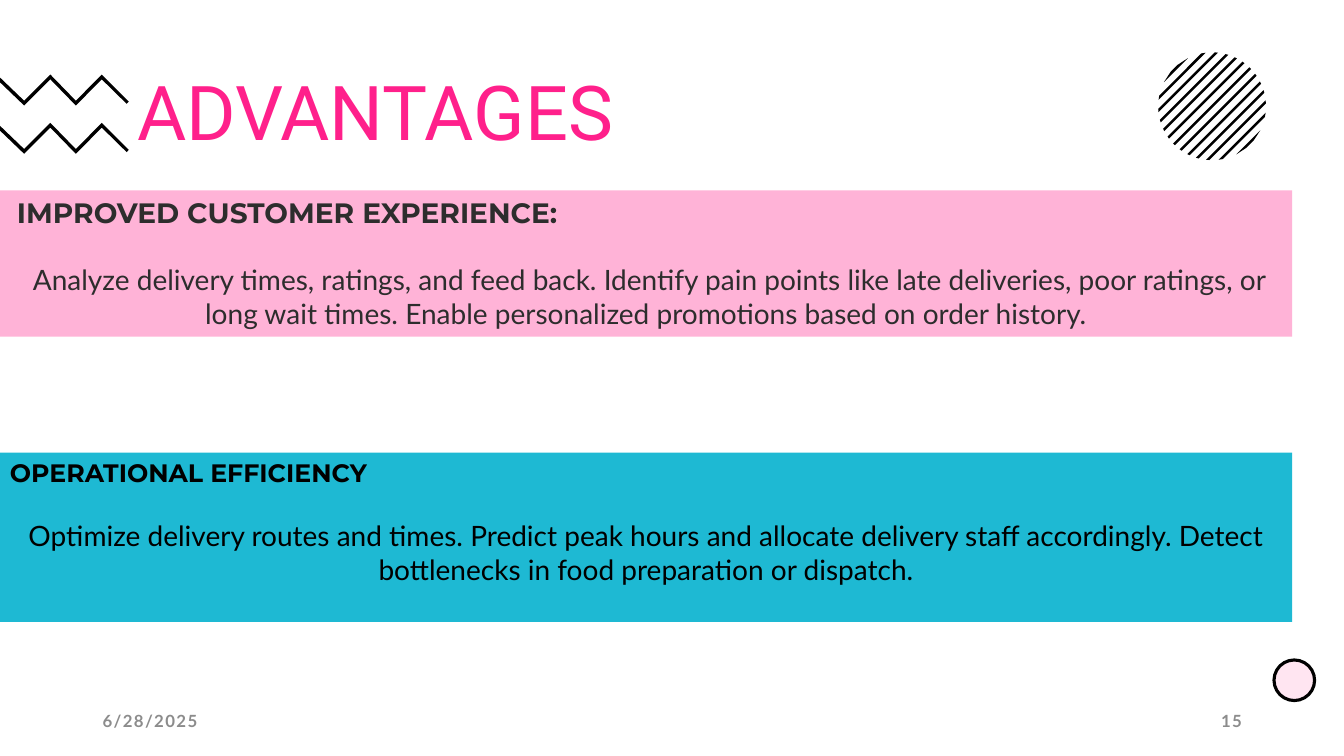
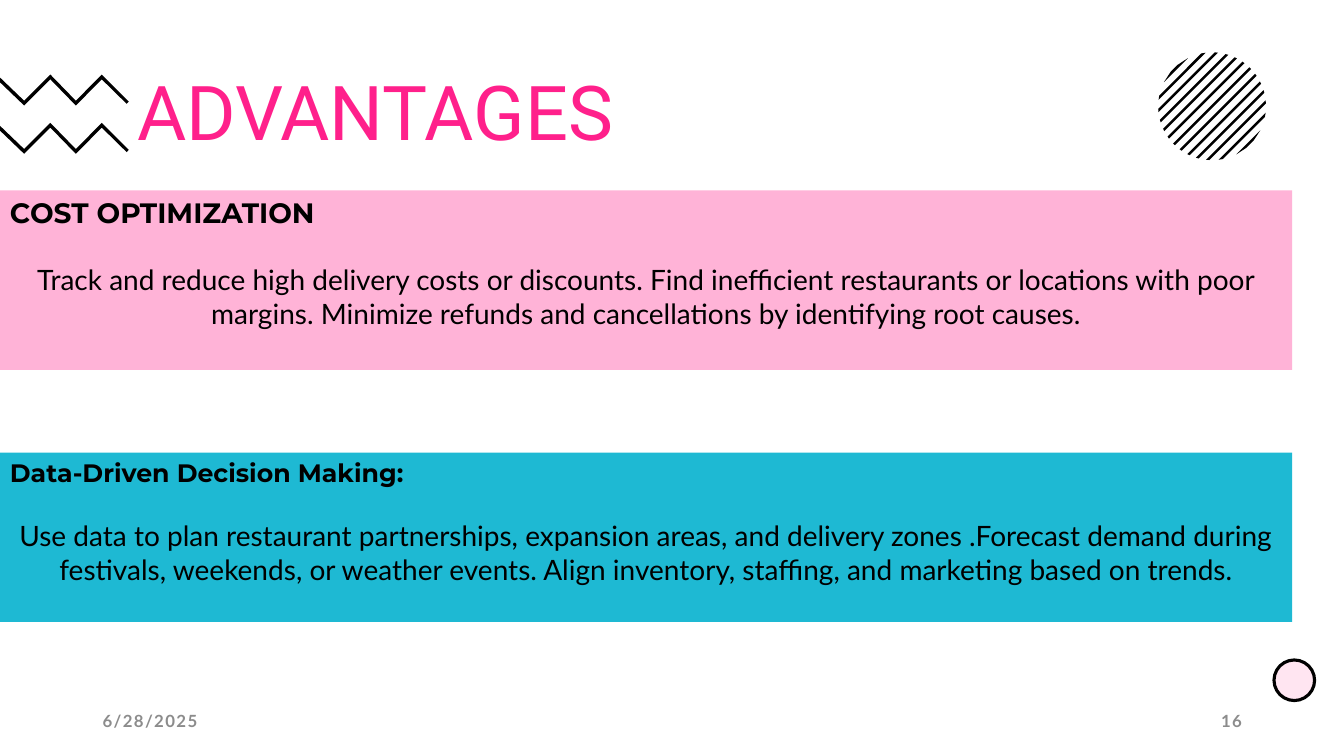
"""Build two slides on the advantages of food delivery analysis."""
from dataclasses import dataclass
from math import sqrt

from lxml import etree
from pptx import Presentation
from pptx.dml.color import RGBColor
from pptx.enum.shapes import MSO_SHAPE
from pptx.enum.text import MSO_ANCHOR, MSO_AUTO_SIZE, PP_ALIGN
from pptx.oxml.ns import qn
from pptx.shapes.base import BaseShape
from pptx.slide import Slide
from pptx.text.text import Font
from pptx.util import Pt

RECTANGLE, OVAL = MSO_SHAPE.RECTANGLE, MSO_SHAPE.OVAL
TOP, MIDDLE = MSO_ANCHOR.TOP, MSO_ANCHOR.MIDDLE
LEFT, CENTER, RIGHT = PP_ALIGN.LEFT, PP_ALIGN.CENTER, PP_ALIGN.RIGHT
NO_AUTOFIT = MSO_AUTO_SIZE.NONE

TITLE_ONLY_LAYOUT = 5
TITLE_FONT, HEADING_FONT, BODY_FONT = "Roboto", "Montserrat", "Lato"
BLACK, CHARCOAL, GREY = "000000", "2D2D2D", "8C8C8C"
HOT_PINK, ROSE, LIGHT_PINK, TEAL = "FF208B", "FF80BD", "FFB3D7", "1EB9D3"

BAND_WIDTH = 923
UPPER_TOP, LOWER_TOP = 136, 323.3
FOOTER_TOP, FOOTER_WIDTH, FOOTER_HEIGHT = 500.4, 216, 28.8
DATE_LEFT, NUMBER_LEFT = 66.2, 678.2
DATE = "6/28/2025"

DISC_X, DISC_Y, DISC_RADIUS = 865.8, 75.9, 38.5
STRIPE_GAP, STRIPE_HALF_WIDTH, STRIPES_PER_SIDE = 6.24, 0.9, 6
ZIGZAG_EDGE = [(0, 55.4), (17.3, 72), (36, 53.3), (54.2, 72), (72.7, 53.3), (92, 72.6)]
ZIGZAG_THICKNESS, ZIGZAG_GAP = 3.4, 34.5

Point = tuple[float, float]


@dataclass
class Band:
    """A full-width coloured box with a heading and a sentence block."""

    heading: str
    body: str
    top: float
    height: float
    fill: str
    heading_size: float
    body_gap: float
    text_color: str = BLACK
    first_indent: float = 0


@dataclass
class Page:
    """One slide with its number and bands."""

    number: str
    bands: list[Band]


PAGES = [
    Page("15", [
        Band("IMPROVED CUSTOMER EXPERIENCE:",
             "Analyze delivery times, ratings, and feed back. Identify pain points like late "
             "deliveries, poor ratings, or long wait times. Enable personalized promotions "
             "based on order history.",
             UPPER_TOP, 104.4, LIGHT_PINK, 20, 24, CHARCOAL, 5),
        Band("OPERATIONAL EFFICIENCY",
             "Optimize delivery routes and times. Predict peak hours and allocate delivery "
             "staff accordingly. Detect bottlenecks in food preparation or dispatch.",
             LOWER_TOP, 121, TEAL, 18, 22),
    ]),
    Page("16", [
        Band("COST OPTIMIZATION",
             "Track and reduce high delivery costs or discounts. Find inefficient restaurants "
             "or locations with poor margins. Minimize refunds and cancellations by "
             "identifying root causes.",
             UPPER_TOP, 128.2, LIGHT_PINK, 20, 24),
        Band("Data-Driven Decision Making:",
             "Use data to plan restaurant partnerships, expansion areas, and delivery zones "
             ".Forecast demand during festivals, weekends, or weather events. Align inventory, "
             "staffing, and marketing based on trends.",
             LOWER_TOP, 121, TEAL, 18, 22),
    ]),
]


def color(value: str) -> RGBColor:
    """Turn a hex string into a colour."""
    return RGBColor.from_string(value)


def style_font(font: Font, name: str, size: float, value: str, bold: bool = False) -> None:
    """Set the face, size, colour and weight of a font."""
    font.name, font.size, font.bold = name, Pt(size), bold
    font.color.rgb = color(value)


def fill_shape(shape: BaseShape, value: str) -> None:
    """Give a shape a plain fill with neither line nor shadow."""
    shape.shadow.inherit = False
    shape.fill.solid()
    shape.fill.fore_color.rgb = color(value)
    shape.line.fill.background()


def add_outlines(slide: Slide, outlines: list[list[Point]]) -> None:
    """Draw a group of black polygons."""
    group = slide.shapes.add_group_shape()
    for outline in outlines:
        points = [(Pt(x), Pt(y)) for x, y in outline]
        builder = group.shapes.build_freeform(*points[0], scale=1.0)
        builder.add_line_segments(points[1:], close=True)
        fill_shape(builder.convert_to_shape(), BLACK)


def stripe_outline(offset: float) -> list[Point]:
    """Cut a diagonal stripe out of the disc at an offset from its centre."""
    corners = []
    for distance, ends in ((offset - STRIPE_HALF_WIDTH, (-1, 1)),
                           (offset + STRIPE_HALF_WIDTH, (1, -1))):
        half_chord = sqrt(DISC_RADIUS ** 2 - distance ** 2)
        for end in ends:
            along = end * half_chord
            corners.append((DISC_X + (distance + along) / sqrt(2),
                            DISC_Y + (distance - along) / sqrt(2)))
    return corners


def zigzag_outline(shift: float) -> list[Point]:
    """Return a zigzag ribbon moved down by the shift."""
    upper = [(x, y + shift) for x, y in ZIGZAG_EDGE]
    tip_x, tip_y = upper[-1]
    lower = [(x, y + ZIGZAG_THICKNESS) for x, y in upper[:-1]]
    return upper + [(tip_x - 1.5, tip_y + 1.6)] + lower[::-1]


def add_decoration(slide: Slide) -> None:
    """Draw the striped disc, the zigzags and the small circle."""
    steps = range(-STRIPES_PER_SIDE, STRIPES_PER_SIDE + 1)
    add_outlines(slide, [stripe_outline(step * STRIPE_GAP) for step in steps])
    add_outlines(slide, [zigzag_outline(row * ZIGZAG_GAP) for row in range(2)])
    circle = slide.shapes.add_shape(OVAL, Pt(910), Pt(471.4), Pt(29), Pt(29))
    fill_shape(circle, ROSE)
    fill_color = circle.fill._xPr.find(qn("a:solidFill"))[0]
    etree.SubElement(fill_color, qn("a:alpha")).set("val", "20000")
    circle.line.color.rgb = color(BLACK)
    circle.line.width = Pt(2.25)


def add_title(slide: Slide) -> None:
    """Place and format the title."""
    title = slide.shapes.title
    title.left, title.top, title.width, title.height = Pt(90.7), Pt(61.9), Pt(449.3), Pt(41.8)
    frame = title.text_frame
    frame.text = "ADVANTAGES"
    frame.auto_size, frame.vertical_anchor = NO_AUTOFIT, MIDDLE
    paragraph = frame.paragraphs[0]
    paragraph.alignment, paragraph.line_spacing = LEFT, 0.9
    style_font(paragraph.runs[0].font, TITLE_FONT, 54, HOT_PINK)


def add_footer(slide: Slide, text: str, left: float, alignment: PP_ALIGN) -> None:
    """Add one letter-spaced footer text."""
    box = slide.shapes.add_textbox(Pt(left), Pt(FOOTER_TOP), Pt(FOOTER_WIDTH), Pt(FOOTER_HEIGHT))
    frame = box.text_frame
    frame.text = text
    frame.word_wrap, frame.vertical_anchor = True, MIDDLE
    paragraph = frame.paragraphs[0]
    paragraph.alignment = alignment
    font = paragraph.runs[0].font
    style_font(font, BODY_FONT, 12, GREY, True)
    font._element.set("spc", "100")


def add_band(slide: Slide, band: Band) -> None:
    """Draw a coloured band with its heading and body."""
    shape = slide.shapes.add_shape(RECTANGLE, 0, Pt(band.top), Pt(BAND_WIDTH), Pt(band.height))
    fill_shape(shape, band.fill)
    frame = shape.text_frame
    frame.text = f"{band.heading}\n{band.body}"
    frame.word_wrap, frame.auto_size, frame.vertical_anchor = True, NO_AUTOFIT, TOP
    heading, body = frame.paragraphs
    heading.alignment, body.alignment = LEFT, CENTER
    body.space_before = Pt(band.body_gap)
    for paragraph in (heading, body):
        paragraph._p.get_or_add_pPr().set("indent", str(Pt(band.first_indent)))
    style_font(heading.runs[0].font, HEADING_FONT, band.heading_size, band.text_color, True)
    style_font(body.runs[0].font, BODY_FONT, 20, band.text_color)


def main() -> None:
    """Build and save the presentation."""
    presentation = Presentation()
    presentation.slide_width, presentation.slide_height = Pt(960), Pt(540)
    for page in PAGES:
        slide = presentation.slides.add_slide(presentation.slide_layouts[TITLE_ONLY_LAYOUT])
        add_decoration(slide)
        add_title(slide)
        add_footer(slide, DATE, DATE_LEFT, LEFT)
        add_footer(slide, page.number, NUMBER_LEFT, RIGHT)
        for band in page.bands:
            add_band(slide, band)
    presentation.save("out.pptx")


if __name__ == "__main__":
    main()
